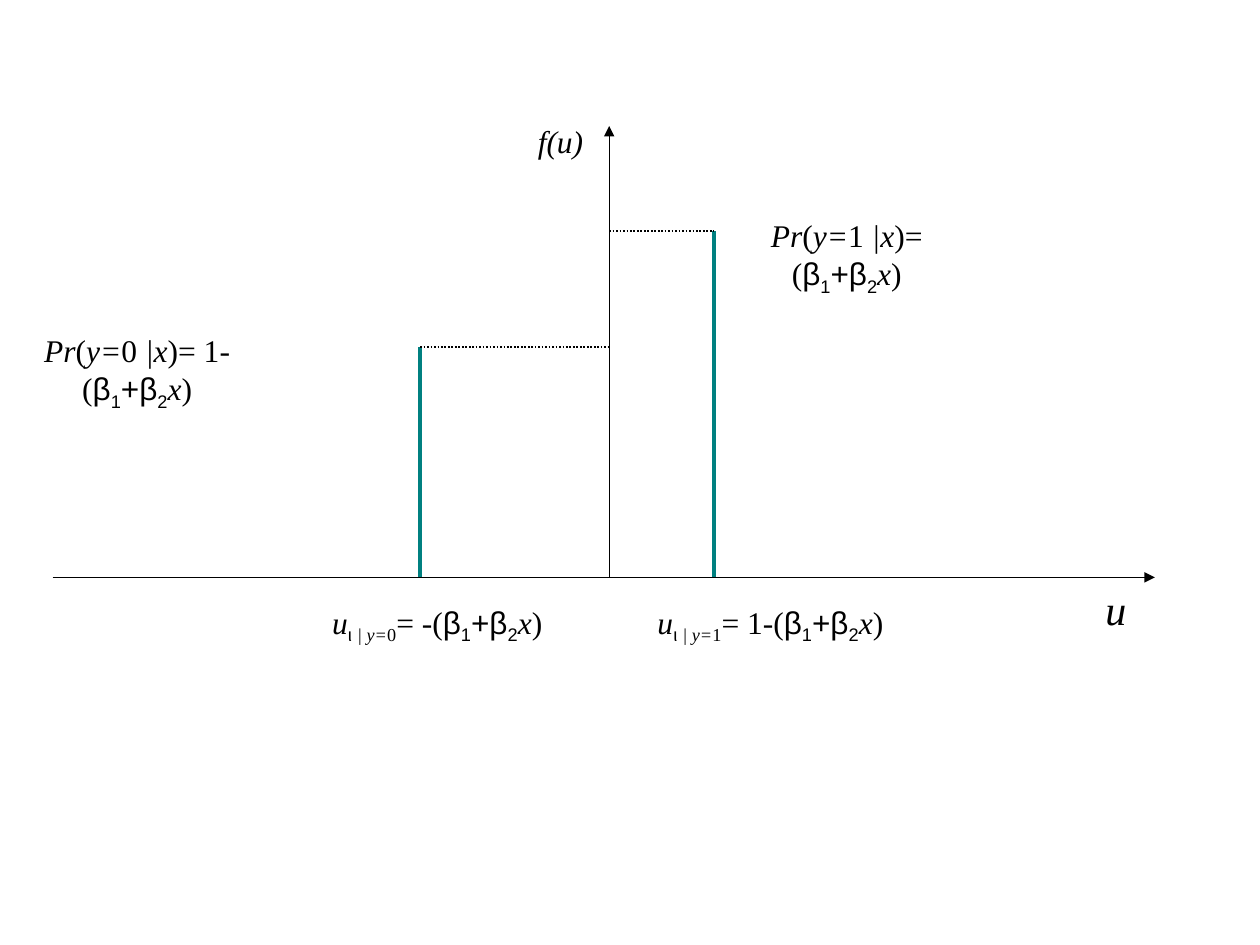
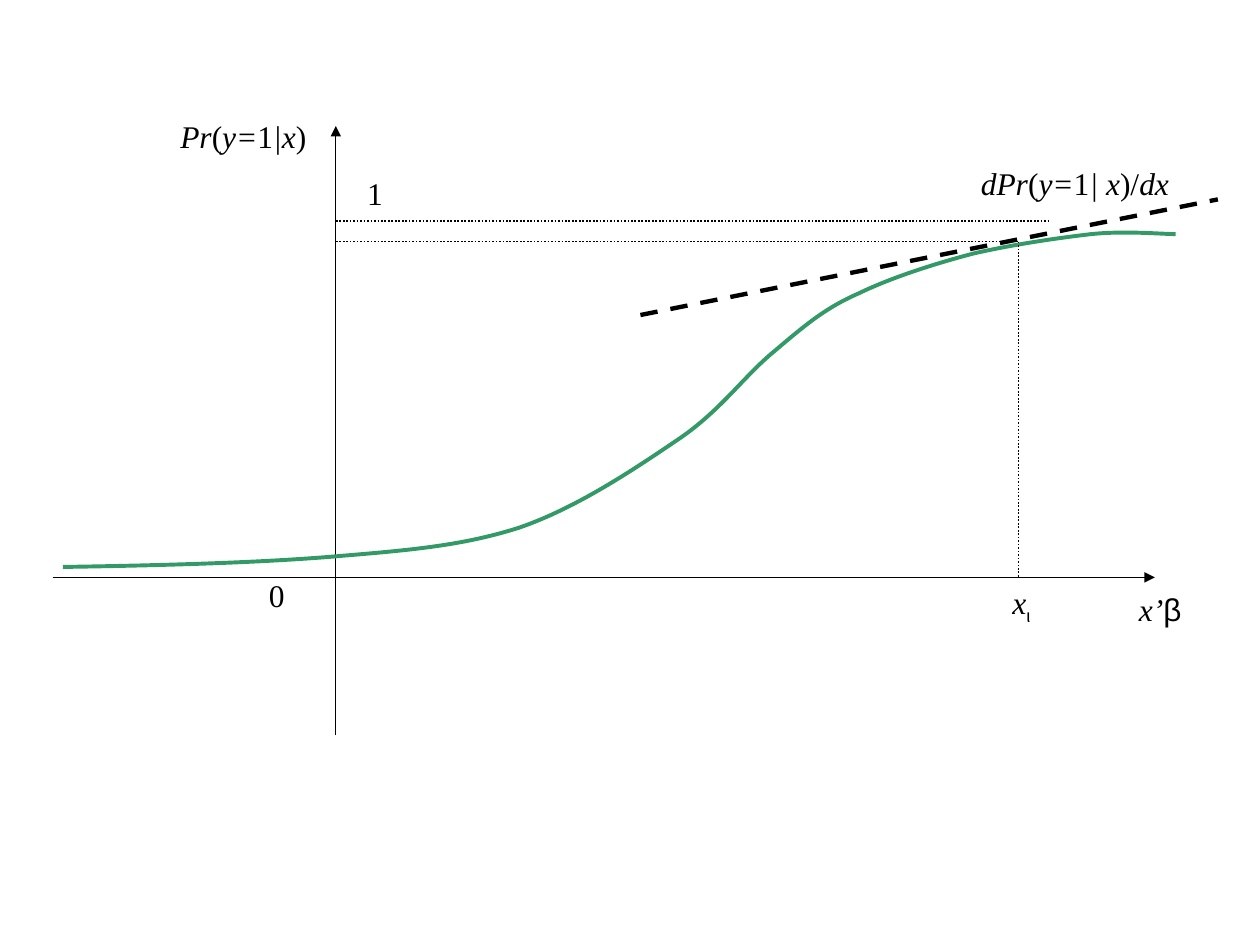
from lxml import etree
from pptx import Presentation
from pptx import util as u
from pptx.dml.color import RGBColor
from pptx.enum import dml, text
from pptx.enum import shapes
from pptx.oxml.ns import qn

BLACK = RGBColor(0x00, 0x00, 0x00)
TEAL = RGBColor(0x00, 0x80, 0x80)
GREEN = RGBColor(0x33, 0x99, 0x66)
SERIF, SANS = "Times New Roman", "Arial"

# Axes shared by both slides, in centimetres
BASE_Y, TOP_Y = 11.64, 2.54
AXIS_LEFT, AXIS_RIGHT = 1.06, 23.28

# Span formats for formulas
VAR = dict(italic=True)
NUM = dict()
GREEK = dict(font=SANS)
SUB = dict(font=SANS, baseline=-25)
SUB_VAR = dict(italic=True, baseline=-25)
SUB_NUM = dict(baseline=-25)
BREAK = ("\v", NUM)

INDEX = [("β", GREEK), ("1", SUB), ("+β", GREEK), ("2", SUB), ("x", VAR), (")", NUM)]


def add_span(para, content, size=18, font=SERIF, italic=False, baseline=0, color=BLACK):
    if content == "\v":
        para.add_line_break()
        return
    span = para.add_run()
    span.text = content
    span.font.size = u.Pt(size)
    span.font.name = font
    span.font.italic = italic
    span.font.color.rgb = color
    if baseline:
        span.font._element.set("baseline", str(baseline * 1000))


def probability(outcome, *ending):
    return [("Pr", VAR), ("(", NUM), ("y=", VAR), (outcome, NUM), ("|x", VAR), *ending]


def error_term(outcome, *value):
    return [("u", VAR), ("ι ", SUB), ("| y=", SUB_VAR), (outcome, SUB_NUM),
            *value, ("(", NUM), *INDEX]


class Diagram:
    def __init__(self):
        self.deck = Presentation()
        self.deck.slide_width, self.deck.slide_height = u.Cm(25.4), u.Cm(19.05)
        self.page = None

    def new_page(self):
        self.page = self.deck.slides.add_slide(self.deck.slide_layouts[6])

    def line(self, start, end, color=BLACK, width=0.75, dash=None, arrow=False):
        points = [u.Cm(value) for value in (*start, *end)]
        connector = self.page.shapes.add_connector(shapes.MSO_CONNECTOR.STRAIGHT, *points)
        connector.line.color.rgb = color
        connector.line.width = u.Pt(width)
        if dash:
            connector.line.dash_style = dash
        if arrow:
            etree.SubElement(connector.line._get_or_add_ln(), qn("a:tailEnd"), type="triangle")
        etree.SubElement(connector._element.spPr, qn("a:effectLst"))

    def axis(self, start, end):
        self.line(start, end, arrow=True)

    def guide(self, start, end):
        self.line(start, end, width=1, dash=dml.MSO_LINE.ROUND_DOT)

    def label(self, left, top, width, spans, height=1.02, wrap=False, middle=True, size=18):
        box = self.page.shapes.add_textbox(u.Cm(left), u.Cm(top), u.Cm(width), u.Cm(height))
        frame = box.text_frame
        frame.word_wrap = wrap
        frame.auto_size = text.MSO_AUTO_SIZE.SHAPE_TO_FIT_TEXT
        frame.vertical_anchor = text.MSO_ANCHOR.MIDDLE if middle else text.MSO_ANCHOR.TOP
        para = frame.paragraphs[0]
        para.alignment = text.PP_ALIGN.CENTER
        for content, style in spans:
            add_span(para, content, size=size, **style)

    def curve(self, points, color, width):
        """Draw a start point followed by triples of Bézier points."""
        corners = [(u.Cm(x), u.Cm(y)) for x, y in points]
        builder = self.page.shapes.build_freeform(*corners[0])
        builder.add_line_segments(corners[1:], close=False)
        shape = builder.convert_to_shape()
        shape.shadow.inherit = False
        shape.fill.background()
        shape.line.color.rgb = color
        shape.line.width = u.Pt(width)
        # Join each three straight segments into one smooth segment
        outline = next(shape._element.iter(qn("a:path")))
        segments = list(outline.iter(qn("a:lnTo")))
        for first in range(0, len(segments), 3):
            bend = etree.SubElement(outline, qn("a:cubicBezTo"))
            for segment in segments[first:first + 3]:
                bend.append(segment[0])
                outline.remove(segment)


def draw_error_density(diagram):
    diagram.new_page()
    origin_x = 12.28

    # Axes
    diagram.axis((AXIS_LEFT, BASE_Y), (AXIS_RIGHT, BASE_Y))
    diagram.axis((origin_x, BASE_Y), (origin_x, TOP_Y))
    diagram.label(22.02, 11.63, 0.95, [("u", VAR)], height=1.27, wrap=True, size=24)
    diagram.label(10.59, 2.34, 1.42, [("f(u)", VAR)])

    # The two probability bars with their guides
    for bar_x, bar_top in ((8.47, 6.99), (14.39, 4.66)):
        diagram.line((bar_x, BASE_Y), (bar_x, bar_top), color=TEAL, width=2)
        diagram.guide(*sorted([(bar_x, bar_top), (origin_x, bar_top)]))

    # Probabilities and error values
    diagram.label(0.64, 6.55, 4.25, probability(
        "0 ", (")= 1", NUM), ("-", VAR), BREAK, ("(", NUM), *INDEX),
        height=1.78, middle=False)
    diagram.label(15.29, 4.24, 3.56, probability(
        "1 ", (")=", NUM), BREAK, ("(", NUM), *INDEX),
        height=1.78, middle=False)
    diagram.label(6.35, 12.07, 4.93, error_term("0", ("=", NUM), (" -", VAR)))
    diagram.label(12.9, 12.07, 5.26, error_term("1", ("= 1", NUM), ("-", VAR)))


def draw_response_curve(diagram):
    diagram.new_page()
    origin_x, tangent_x, tangent_y = 6.77, 20.53, 4.87

    # Axes
    diagram.axis((origin_x, 14.82), (origin_x, TOP_Y))
    diagram.axis((AXIS_LEFT, BASE_Y), (AXIS_RIGHT, BASE_Y))
    diagram.label(3.38, 2.24, 3.05, probability("1", (")", NUM)))
    diagram.label(22.02, 11.76, 2.74, [("x’", VAR), ("β", GREEK)], wrap=True)
    diagram.label(5.16, 11.48, 0.84, [("0", NUM)], middle=False)
    diagram.label(7.14, 3.38, 0.84, [("1", NUM)], middle=False)

    # Response curve
    diagram.curve([
        (1.27, 11.43),
        (3.18, 11.4), (5.08, 11.35), (6.6, 11.23),
        (8.15, 11.1), (9.27, 11.02), (10.46, 10.64),
        (11.63, 10.24), (12.8, 9.45), (13.67, 8.86),
        (14.53, 8.28), (14.99, 7.59), (15.6, 7.09),
        (16.18, 6.6), (16.61, 6.22), (17.3, 5.92),
        (17.98, 5.59), (18.87, 5.31), (19.63, 5.11),
        (20.42, 4.93), (21.31, 4.8), (22, 4.72),
        (22.68, 4.65), (23.42, 4.72), (23.7, 4.72),
    ], GREEN, 2.25)

    # Upper limit and guides to the tangent point
    diagram.guide((origin_x, 4.45), (21.17, 4.45))
    diagram.guide((origin_x, tangent_y), (tangent_x, tangent_y))
    diagram.guide((tangent_x, tangent_y), (tangent_x, BASE_Y))
    diagram.label(20.12, 11.63, 0.94, [("x", VAR), ("ι", SUB)], middle=False)

    # Tangent
    diagram.line((12.91, 6.35), (24.55, 4.02), width=2.5, dash=dml.MSO_LINE.DASH)
    diagram.label(17.78, 3.18, 7.62, [
        (" dPr", VAR), ("(", NUM), ("y=", VAR), ("1", NUM),
        ("| x", VAR), (")/", NUM), ("dx", VAR)], wrap=True)


def main():
    diagram = Diagram()
    draw_error_density(diagram)
    draw_response_curve(diagram)
    diagram.deck.save("out.pptx")


if __name__ == "__main__":
    main()
